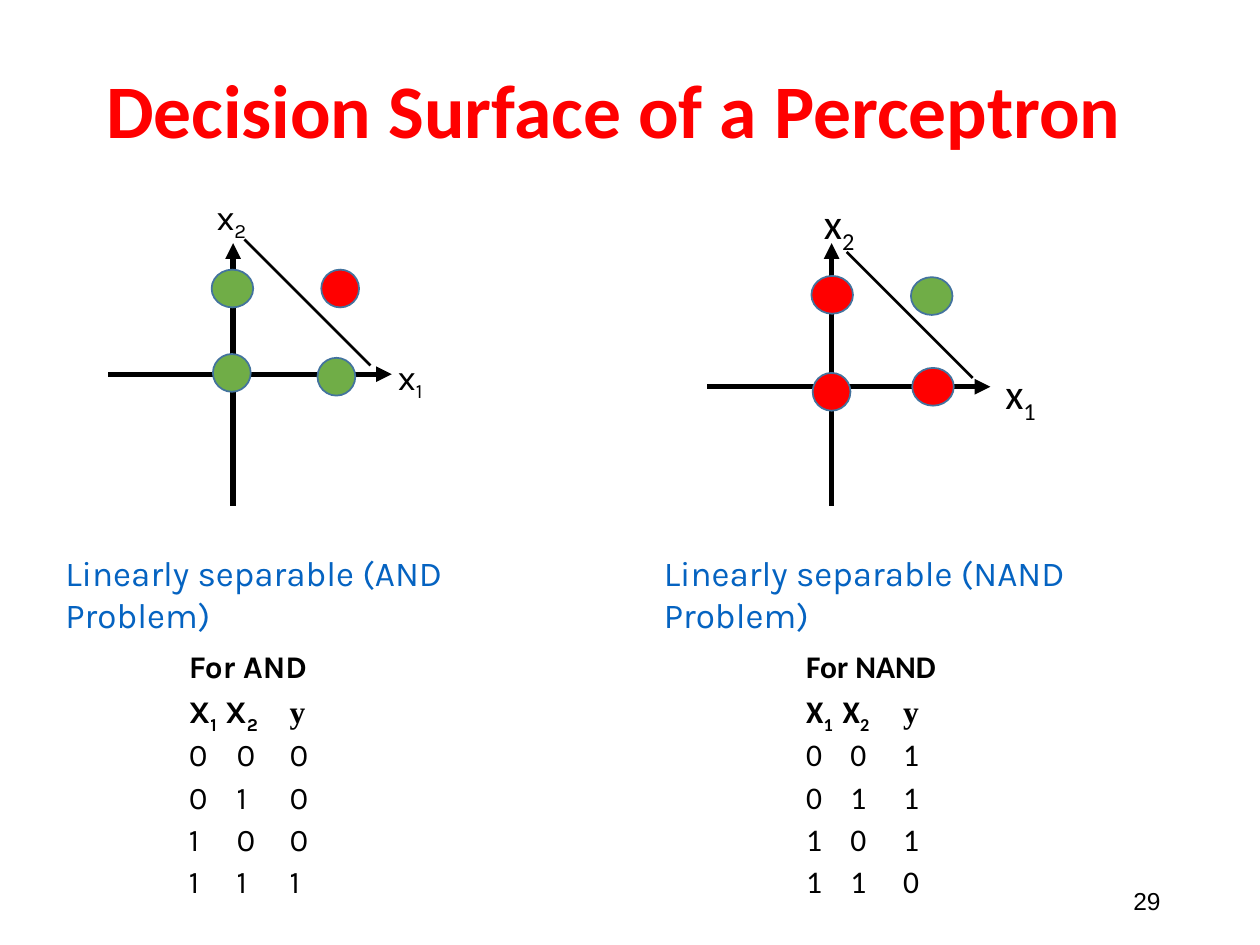
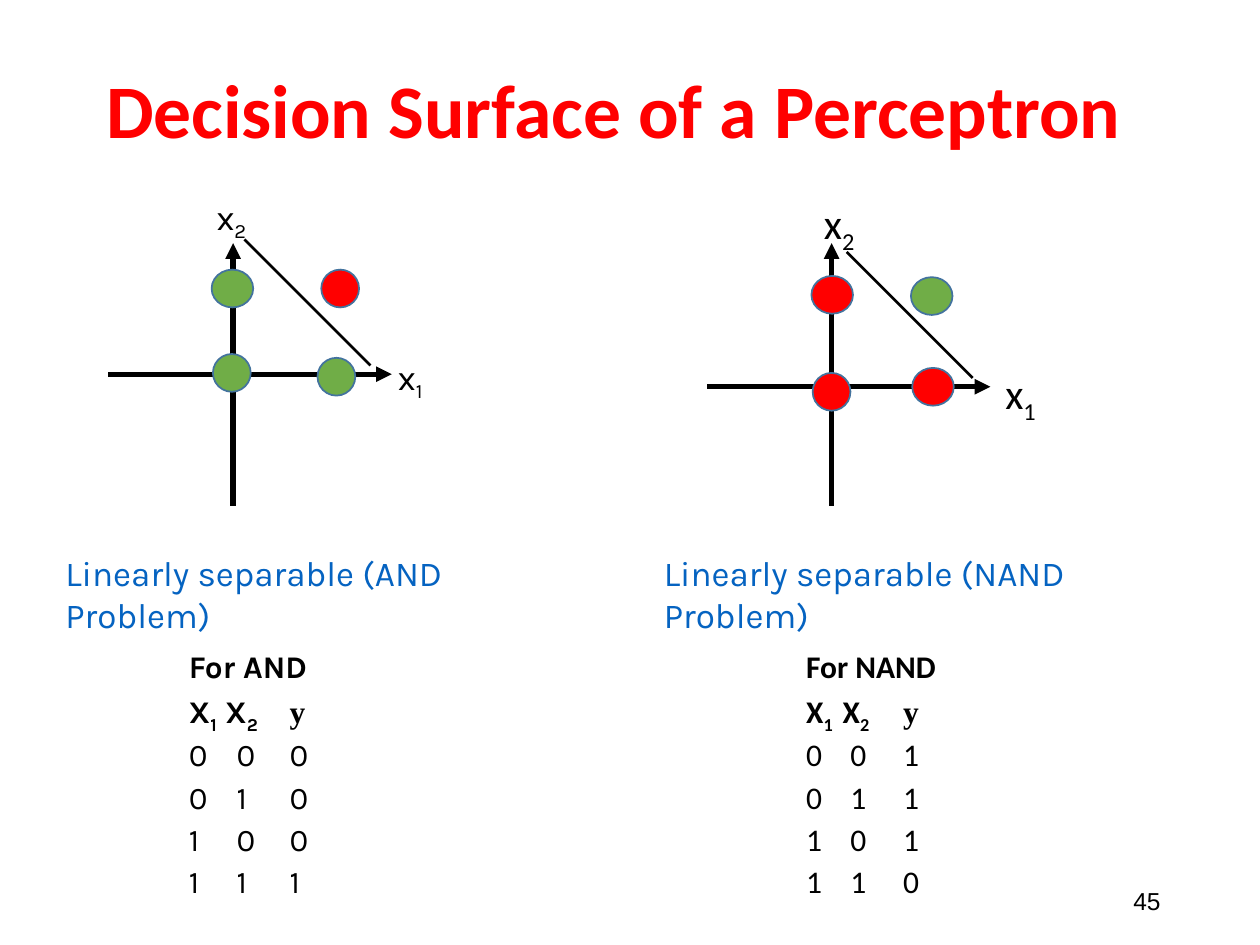
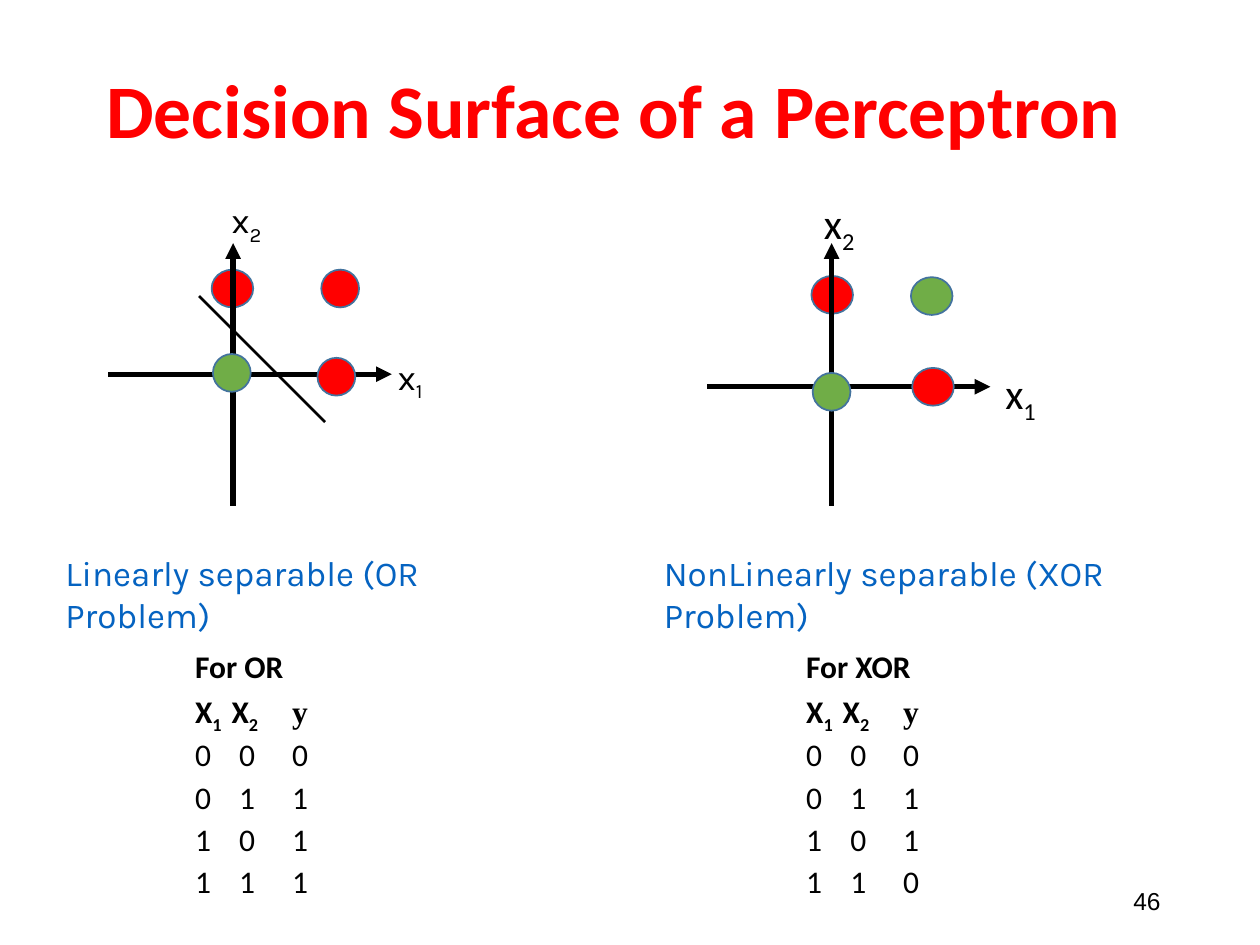
from dataclasses import dataclass
from itertools import product

from lxml import etree
from pptx import Presentation
from pptx.dml.color import RGBColor
from pptx.enum import shapes, text
from pptx.oxml.ns import qn
from pptx.util import Inches, Pt

BLACK, RED, GREEN = "000000", "FF0000", "70AD47"
BLUE, RIM = "0563C1", "43739E"
SANS, KARLA, SERIF, PLAIN = "Calibri", "Karla", "Times New Roman", "Arial"
TITLE = "Decision Surface of a Perceptron"
INPUTS = list(product((0, 1), repeat=2))
Point = tuple[float, float]
Box = tuple[float, float, float, float]


@dataclass(frozen=True)
class Side:
    """One half of the slide: axes, dots in the order of INPUTS, and text places."""
    origin: Point
    dots: tuple[Box, ...]
    font: str
    size: int
    x1: Box
    caption: Point


@dataclass(frozen=True)
class Gate:
    """A logic problem: outputs in the order of INPUTS, and its dividing line."""
    name: str
    outs: tuple[int, ...]
    x2: Point
    table: Box
    width: float
    split: Point | None = None
    kind: str = "Linearly"
    font: str = SANS
    stops: Point = (0.35, 0.77)
    behind: bool = False  # the upper left dot lies under the axes


LEFT = Side((1.85, 2.97),
            ((1.69, 2.81, 0.3, 0.3), (1.68, 2.14, 0.33, 0.3),
             (2.52, 2.84, 0.3, 0.3), (2.55, 2.14, 0.3, 0.3)),
            KARLA, 20, (3.06, 2.77, 0.49, 0.5), (0.42, 4.33))
RIGHT = Side((6.6, 3.07),
             ((6.45, 2.96, 0.3, 0.3), (6.44, 2.19, 0.33, 0.3),
              (7.24, 2.92, 0.33, 0.3), (7.23, 2.2, 0.33, 0.3)),
             SANS, 24, (7.88, 2.87, 0.55, 0.5), (5.17, 4.33))

AND = Gate("AND", (0, 0, 0, 1), (1.62, 1.5), (1.4, 5.17, 1.41, 2.13), 4.38,
           split=(1.94, 1.9), font=KARLA, stops=(0.38, 0.8))
NAND = Gate("NAND", (1, 1, 1, 0), (6.44, 1.52), (6.3, 5.17, 1.56, 2.18), 4.57,
            split=(6.72, 2))
OR = Gate("OR", (0, 1, 1, 1), (1.74, 1.53), (1.45, 5.17, 1.56, 2.18), 4.21,
          split=(1.58, 2.35), behind=True)
XOR = Gate("XOR", (0, 1, 1, 0), (6.44, 1.52), (6.3, 5.17, 1.56, 2.18), 4.86,
           kind="NonLinearly", behind=True)
PAGES = ((29, AND, NAND), (45, AND, NAND), (46, OR, XOR))


def rgb(code: str) -> RGBColor:
    return RGBColor.from_string(code)


def style(font, name: str, size: float, color: str = BLACK, bold: bool = False) -> None:
    font.name, font.size, font.bold = name, Pt(size), bold
    font.color.rgb = rgb(color)


def add_run(para, words: str, name: str, size: float, bold: bool = False,
            sub: bool = False) -> None:
    run = para.add_run()
    run.text = words
    style(run.font, name, size, bold=bold)
    if sub:
        run._r.get_or_add_rPr().set("baseline", "-25000")


def add_frame(slide, box: Box):
    frame = slide.shapes.add_textbox(*map(Inches, box)).text_frame
    frame.word_wrap = True
    return frame


def add_text(slide, box: Box, words: str, name: str, size: float, color: str = BLACK,
             bold: bool = False, align=text.PP_ALIGN.LEFT, anchor=text.MSO_ANCHOR.TOP):
    frame = add_frame(slide, box)
    frame.text, frame.vertical_anchor = words, anchor
    para = frame.paragraphs[0]
    para.alignment = align
    style(para.runs[0].font, name, size, color, bold)
    return frame


def add_label(slide, box: Box, digit: str, side: Side) -> None:
    para = add_frame(slide, box).paragraphs[0]
    add_run(para, "x", side.font, side.size)
    add_run(para, digit, side.font, side.size, sub=True)


def add_line(slide, start: Point, end: Point, width: float, arrow: bool = False) -> None:
    line = slide.shapes.add_connector(
        shapes.MSO_CONNECTOR.STRAIGHT, *map(Inches, start + end))
    line.line.color.rgb, line.line.width = rgb(BLACK), Pt(width)
    props = line._element.spPr
    if arrow:
        etree.SubElement(props.find(qn("a:ln")), qn("a:headEnd"), type="triangle")
    etree.SubElement(props, qn("a:effectLst"))


def add_dot(slide, box: Box, out: int) -> None:
    dot = slide.shapes.add_shape(
        shapes.MSO_SHAPE.FLOWCHART_CONNECTOR, *map(Inches, box))
    dot.shadow.inherit = False
    dot.fill.solid()
    dot.fill.fore_color.rgb = rgb(RED if out else GREEN)
    dot.line.color.rgb, dot.line.width = rgb(RIM), Pt(1)


def add_axes(slide, origin: Point) -> None:
    x, y = origin
    add_line(slide, (x, 1.93), (x, 4.02), 3, arrow=True)
    add_line(slide, (x + 1.26, y), (x - 0.99, y), 3, arrow=True)


def add_plot(slide, side: Side, gate: Gate) -> None:
    dots = list(zip(side.dots, gate.outs))
    if gate.behind:
        add_dot(slide, *dots.pop(1))
    add_axes(slide, side.origin)
    add_label(slide, side.x1, "1", side)
    add_label(slide, gate.x2 + (0.49, 0.5), "2", side)
    for box, out in dots:
        add_dot(slide, box, out)
    if gate.split:
        x, y = gate.split
        add_line(slide, (x, y), (x + 1, y + 1), 1.5)


def set_tabs(para, stops: Point) -> None:
    tabs = etree.SubElement(para._p.get_or_add_pPr(), qn("a:tabLst"))
    for stop in stops:
        etree.SubElement(tabs, qn("a:tab"), pos=str(Inches(stop)), algn="l")


def add_truth(slide, gate: Gate) -> None:
    """Write the truth table as tabbed lines."""
    frame = add_frame(slide, gate.table)
    rows = [f"{a}\t{b}\t{out}" for (a, b), out in zip(INPUTS, gate.outs)]
    for i, row in enumerate([f"For {gate.name}", "", *rows]):
        para = frame.paragraphs[0] if i == 0 else frame.add_paragraph()
        para.line_spacing = 0.7
        if i:
            para.space_before = Pt(9)
            set_tabs(para, (0.29, gate.stops[1]) if i == 1 else gate.stops)
        if i == 1:
            for words, sub in (("X", False), ("1", True), ("\tX", False), ("2", True)):
                add_run(para, words, gate.font, 18, True, sub)
            add_run(para, "\ty", SERIF, 18, True)
        else:
            add_run(para, row, gate.font, 18, bold=i == 0)


def add_half(slide, side: Side, gate: Gate) -> None:
    words = f"{gate.kind} separable ({gate.name} Problem)"
    caption = add_text(slide, side.caption + (gate.width, 0.44), words, KARLA, 20, BLUE)
    caption.margin_right = Inches(0.4)
    add_truth(slide, gate)
    add_plot(slide, side, gate)


def add_page(deck, number: int, left: Gate, right: Gate) -> None:
    slide = deck.slides.add_slide(deck.slide_layouts[6])
    middle = text.MSO_ANCHOR.MIDDLE
    add_text(slide, (7.06, 6.95, 2.25, 0.4), str(number), PLAIN, 14,
             align=text.PP_ALIGN.RIGHT, anchor=middle)
    title = add_text(slide, (0.42, 0.4, 8.9, 1.01), TITLE, SANS, 43.2, RED, True,
                     text.PP_ALIGN.CENTER, middle)
    title.paragraphs[0].line_spacing = 0.9
    add_half(slide, LEFT, left)
    add_half(slide, RIGHT, right)


def main() -> None:
    deck = Presentation()
    deck.slide_width, deck.slide_height = Inches(10), Inches(7.5)
    for page in PAGES:
        add_page(deck, *page)
    deck.save("out.pptx")


if __name__ == "__main__":
    main()
